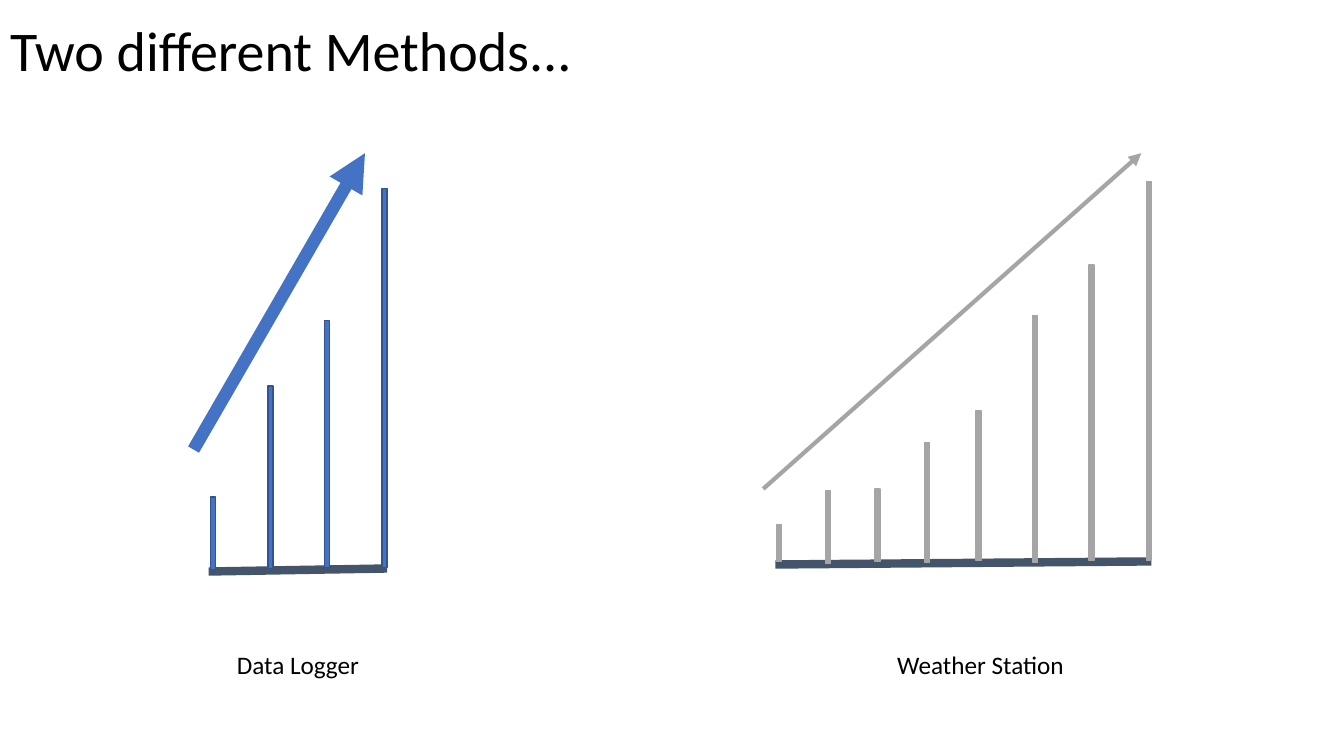
from dataclasses import dataclass
from lxml import etree
from pptx import Presentation
from pptx.dml.color import RGBColor
from pptx.enum.shapes import MSO_CONNECTOR, MSO_SHAPE
from pptx.enum.text import MSO_ANCHOR, MSO_AUTO_SIZE, PP_ALIGN
from pptx.oxml.ns import qn
from pptx.util import Inches, Pt


@dataclass(frozen=True)
class Theme:
    font: str = "Calibri"
    title_size: int = 40
    label_size: int = 18
    text: str = "000000"
    base: str = "44546A"
    blue: str = "4472C4"
    blue_edge: str = "325491"
    grey: str = "A5A5A5"


theme = Theme()
BAR_WIDTH = 0.05


def add_line(start, end, color, width, arrow=False):
    cn = s.shapes.add_connector(
        MSO_CONNECTOR.STRAIGHT, *[Inches(v) for v in (*start, *end)])
    cn.line.color.rgb = RGBColor.from_string(color)
    cn.line.width = Pt(width)
    if arrow:
        etree.SubElement(cn.line._get_or_add_ln(), qn("a:tailEnd"), type="triangle")
    etree.SubElement(cn._element.spPr, qn("a:effectLst"))


def write_text(sp, text, size, align):
    tf = sp.text_frame
    tf.word_wrap = False
    tf.auto_size = MSO_AUTO_SIZE.NONE
    tf.vertical_anchor = MSO_ANCHOR.TOP
    p = tf.paragraphs[0]
    p.alignment = align
    r = p.add_run()
    r.text = text
    r.font.name = theme.font
    r.font.size = Pt(size)
    r.font.color.rgb = RGBColor.from_string(text_color)


text_color = theme.text
prs = Presentation()
prs.slide_width, prs.slide_height = Inches(13.33), Inches(7.5)
s = prs.slides.add_slide(prs.slide_layouts[5])

# Title
title = s.shapes.title
title.left, title.top = Inches(0), Inches(0.1)
title.width, title.height = Inches(5.84), Inches(0.77)
write_text(title, "Two different Methods...", theme.title_size, PP_ALIGN.LEFT)

# Methods: bars are (left, top, height)
methods = [
    dict(label="Data Logger", label_left=2.2, label_width=1.51,
         fill=theme.blue, edge=theme.blue_edge,
         base=((2.07, 5.67), (3.84, 5.64)),
         arrow=((1.92, 4.46), (3.62, 1.52)), arrow_width=9,
         bars=[(2.09, 4.93, 0.72), (2.66, 3.83, 1.81),
               (3.22, 3.18, 2.45), (3.79, 1.87, 3.76)]),
    dict(label="Weather Station", label_left=8.79, label_width=1.87,
         fill=theme.grey, edge=theme.grey,
         base=((7.69, 5.6), (11.42, 5.57)),
         arrow=((7.57, 4.85), (11.32, 1.52)), arrow_width=3,
         bars=[(7.7, 5.21, 0.36), (8.19, 4.87, 0.72), (8.68, 4.85, 0.72),
               (9.17, 4.39, 1.19), (9.68, 4.07, 1.49), (10.24, 3.13, 2.45),
               (10.8, 2.63, 2.93), (11.37, 1.8, 3.76)]),
]

for method in methods:
    # Baseline
    add_line(*method["base"], theme.base, 6)

    # Bars
    for left, top, height in method["bars"]:
        bar = s.shapes.add_shape(
            MSO_SHAPE.RECTANGLE, Inches(left), Inches(top),
            Inches(BAR_WIDTH), Inches(height))
        bar.shadow.inherit = False
        bar.fill.solid()
        bar.fill.fore_color.rgb = RGBColor.from_string(method["fill"])
        bar.line.color.rgb = RGBColor.from_string(method["edge"])
        bar.line.width = Pt(1)

    # Trend arrow
    add_line(*method["arrow"], method["fill"], method["arrow_width"], arrow=True)

    # Label
    label = s.shapes.add_textbox(
        Inches(method["label_left"]), Inches(6.39),
        Inches(method["label_width"]), Inches(0.4))
    write_text(label, method["label"], theme.label_size, PP_ALIGN.CENTER)

prs.save("out.pptx")
